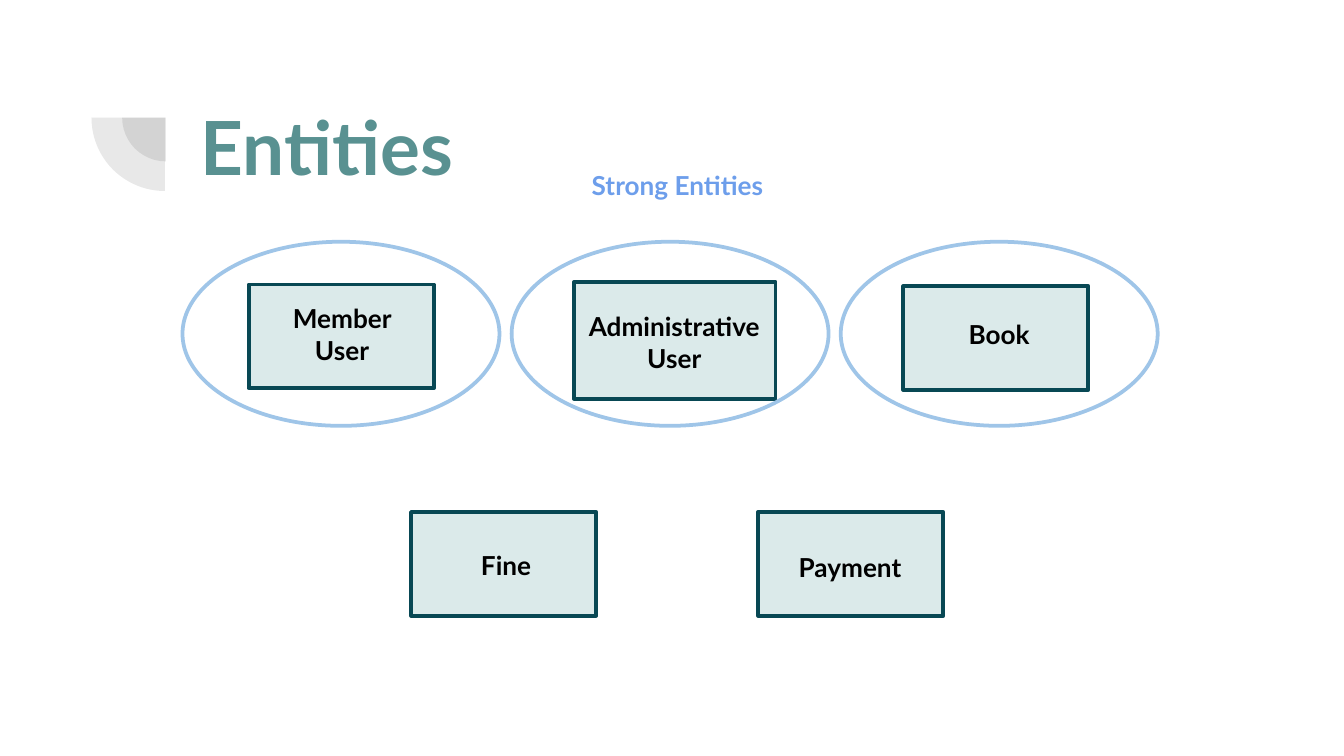
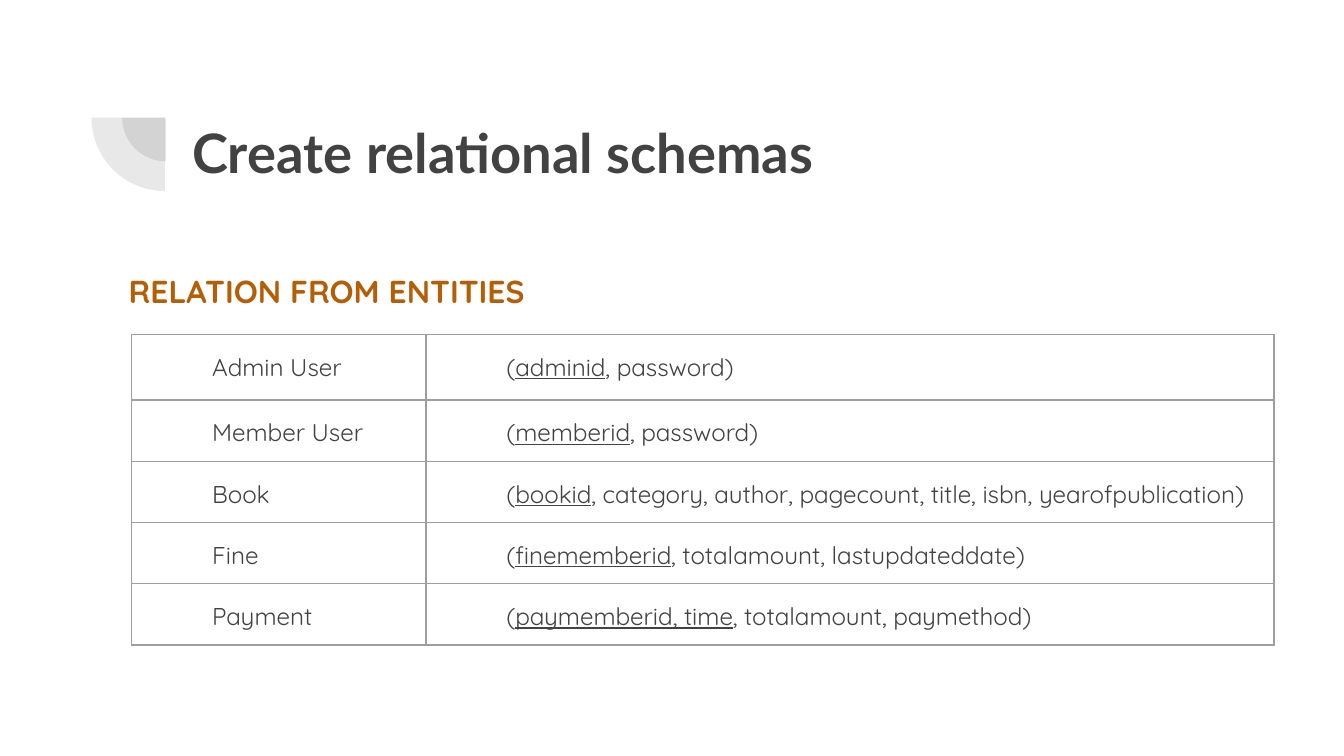
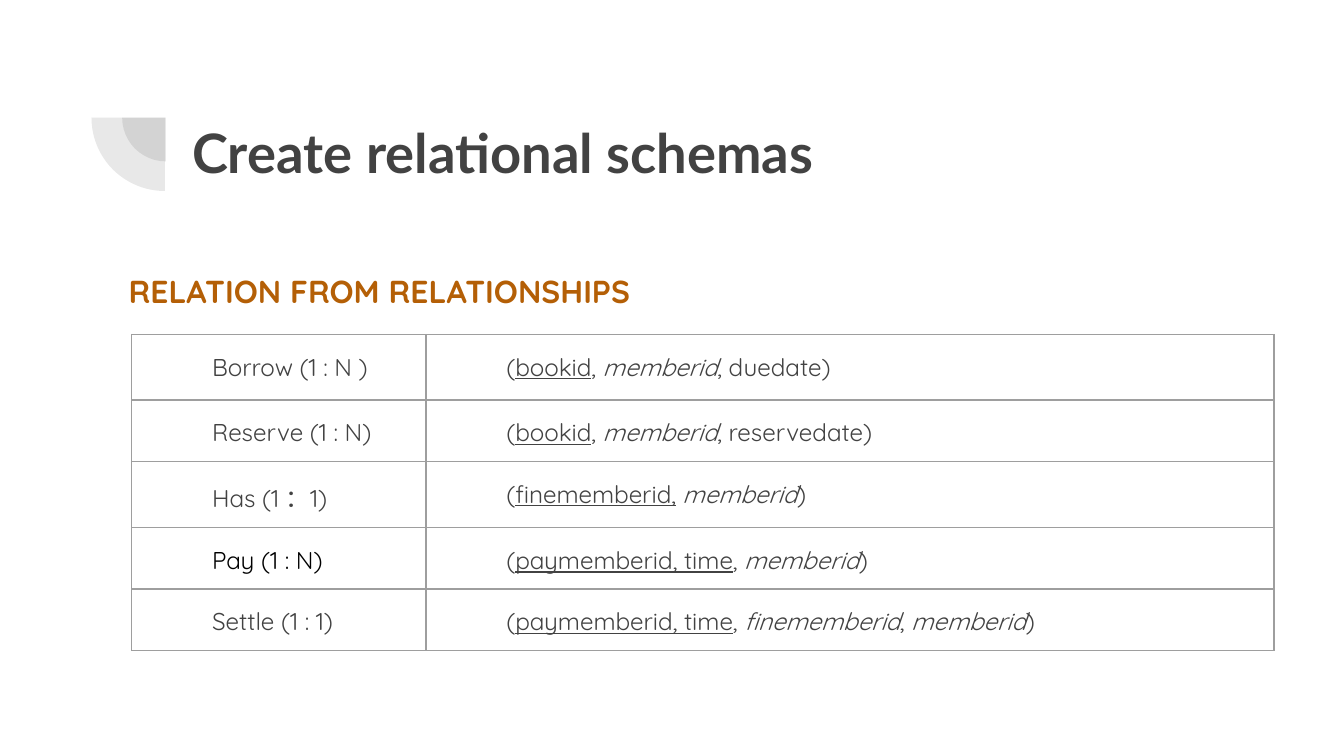
from lxml import etree
from pptx import Presentation, util as u
from pptx.dml.color import RGBColor
from pptx.enum import shapes, text
from pptx.oxml import ns

HUES = {"ink": "424242", "black": "000000", "teal": "599191", "pale": "DBEAEA",
        "deep": "084854", "sky": "9FC5E8", "blue": "6D9EEB", "rust": "B45F06",
        "rule": "9E9E9E"}
ROWS = [1.24, 1.14, 1.04, 1.07, 1.07]
COLS = [5.56, 16.03]


def hue(name):
    return RGBColor.from_string(HUES[name])


class Deck:
    """Holds the shared style and the slide being built."""

    def __init__(self):
        self.deck = Presentation()
        self.deck.slide_width = u.Cm(25.4)
        self.deck.slide_height = u.Cm(14.29)

    def begin(self):
        self.slide = self.deck.slides.add_slide(self.deck.slide_layouts[5])
        self.pie(2.31, 1.4, 1.65)
        self.pie(1.73, 0.84, 2.77)

    def shape(self, kind, box, fill=None, line=None):
        item = self.slide.shapes.add_shape(kind, *map(u.Cm, box))
        item.shadow.inherit = False
        if fill:
            item.fill.solid()
            item.fill.fore_color.rgb = hue(fill)
        else:
            item.fill.background()
        if line:
            item.line.color.rgb = hue(line)
            item.line.width = u.Pt(2)
        else:
            item.line.fill.background()
        return item

    def pie(self, left, top, size):
        item = self.shape(shapes.MSO_SHAPE.PIE, (left, top, size, size), "ink")
        item.adjustments[0], item.adjustments[1] = 108, 162
        item.rotation = 270
        tint = item.fill._xPr.find(".//" + ns.qn("a:srgbClr"))
        etree.SubElement(tint, ns.qn("a:alpha"), val="12000")

    def style(self, para, font, size, color, bold=False):
        para.font.name = font
        para.font.size = u.Pt(size)
        para.font.color.rgb = hue(color)
        para.font.bold = bold

    def indent(self, para):
        para.line_spacing = 1.15
        para._p.get_or_add_pPr().set("marL", str(u.Cm(1.27)))

    def frame(self, item, box, words, pad=0.13):
        item.left, item.top, item.width, item.height = map(u.Cm, box)
        frame = item.text_frame
        frame.word_wrap = True
        frame.auto_size = text.MSO_AUTO_SIZE.NONE
        frame.vertical_anchor = text.MSO_ANCHOR.TOP
        frame.margin_left = frame.margin_right = u.Cm(0.25)
        frame.margin_top = frame.margin_bottom = u.Cm(pad)
        frame.text = words
        return frame.paragraphs[0]

    def title(self, words, box, size, color, pad, align):
        para = self.frame(self.slide.shapes.title, box, words, pad)
        para.alignment = align
        self.style(para, "Lato", size, color, True)

    def label(self, words, box, color="black"):
        item = self.slide.shapes.add_textbox(0, 0, 0, 0)
        para = self.frame(item, box, words)
        item.text_frame.auto_size = text.MSO_AUTO_SIZE.SHAPE_TO_FIT_TEXT
        para.alignment = text.PP_ALIGN.CENTER
        self.style(para, "Lato", 14, color, True)

    def heading(self, words):
        item = self.slide.shapes.add_textbox(0, 0, 0, 0)
        para = self.frame(item, (0.91, 4.78, 16.89, 4.72), words, 0.25)
        self.indent(para)
        self.style(para, "Quicksand", 17, "rust", True)

    def border(self, cell):
        props = cell._tc.get_or_add_tcPr()
        for side in ("lnL", "lnR", "lnT", "lnB"):
            line = etree.SubElement(props, ns.qn("a:" + side), w=str(u.Pt(0.75)))
            fill = etree.SubElement(line, ns.qn("a:solidFill"))
            etree.SubElement(fill, ns.qn("a:srgbClr"), val=HUES["rule"])

    def cell(self, cell, words, color):
        self.border(cell)
        cell.fill.background()
        cell.margin_left = cell.margin_right = u.Cm(0.25)
        cell.margin_top = cell.margin_bottom = u.Cm(0.25)
        para = cell.text_frame.paragraphs[0]
        self.indent(para)
        self.style(para, "Quicksand", 13, color)
        for i, part in enumerate(words.split("_")):
            for j, bit in enumerate(part.split("*")):
                if bit:
                    run = para.add_run()
                    run.text = bit
                    if i % 2:
                        run.font.underline = True
                    if j % 2:
                        run.font.italic = True

    def table(self, rows, dark=()):
        grid = self.slide.shapes.add_table(
            len(rows), len(COLS), u.Cm(2.49), u.Cm(6.32),
            u.Cm(sum(COLS)), u.Cm(sum(ROWS))).table
        grid.first_row = grid.horz_banding = False
        for col, width in zip(grid.columns, COLS):
            col.width = u.Cm(width)
        for row, height, pair in zip(grid.rows, ROWS, rows):
            row.height = u.Cm(height)
            for cell, words in zip(row.cells, pair):
                self.cell(cell, words, "black" if words in dark else "ink")

    def schema(self, head, rows, dark=()):
        self.begin()
        self.title("Create relational schemas", (3.38, 2.01, 19.53, 2.06),
                   29.1, "ink", 0.25, text.PP_ALIGN.LEFT)
        self.heading(head)
        self.table(rows, dark)

    def entities(self):
        self.begin()
        self.title("Entities", (3.18, 1.78, 5.99, 1.96),
                   40, "teal", 0.13, text.PP_ALIGN.CENTER)
        small = (3.5, 1.96)
        items = [
            ("Payment", (14.33, 9.68, *small), (14.63, 10.29, 2.87, 0.86)),
            ("Fine", (7.77, 9.68, *small), (8.28, 10.26, 2.57, 0.86)),
            ("Book", (17.07, 5.41, *small), (17.6, 5.89, 2.57, 0.86)),
            ("Administrative User", (10.85, 5.33, 3.81, 2.21),
             (10.69, 5.74, 4.11, 1.45)),
            ("Member User", (4.7, 5.38, *small), (5.18, 5.59, 2.57, 1.45))]
        for name, box, spot in items:
            self.shape(shapes.MSO_SHAPE.RECTANGLE, box, "pale", "deep")
            self.label(name, spot)
        for i in range(3):
            self.shape(shapes.MSO_SHAPE.OVAL,
                       (3.45 + 6.22 * i, 4.57, 5.99, 3.48), line="sky")
        self.label("Strong Entities", (10.52, 3.07, 4.57, 0.86), "blue")


def main():
    show = Deck()
    show.entities()
    show.schema("RELATION FROM ENTITIES", [
        ("Admin User", "(_adminid_, password)"),
        ("Member User", "(_memberid_, password)"),
        ("Book", "(_bookid_, category, author, pagecount, title, isbn, "
                 "yearofpublication)"),
        ("Fine", "(_finememberid_, totalamount, lastupdateddate)"),
        ("Payment", "(_paymemberid, time_, totalamount, paymethod)")])
    show.schema("RELATION FROM RELATIONSHIPS", [
        ("Borrow (1 : N )", "(_bookid_, *memberid*, duedate)"),
        ("Reserve (1 : N)", "(_bookid_, *memberid*, reservedate)"),
        ("Has (1 ：1)", "(_finememberid,_ *memberid*)"),
        ("Pay (1 : N)", "(_paymemberid, time_, *memberid*)"),
        ("Settle (1 : 1)",
         "(_paymemberid, time_, *finememberid*, *memberid*)")],
        dark=("Pay (1 : N)",))
    show.deck.save("out.pptx")


if __name__ == "__main__":
    main()
